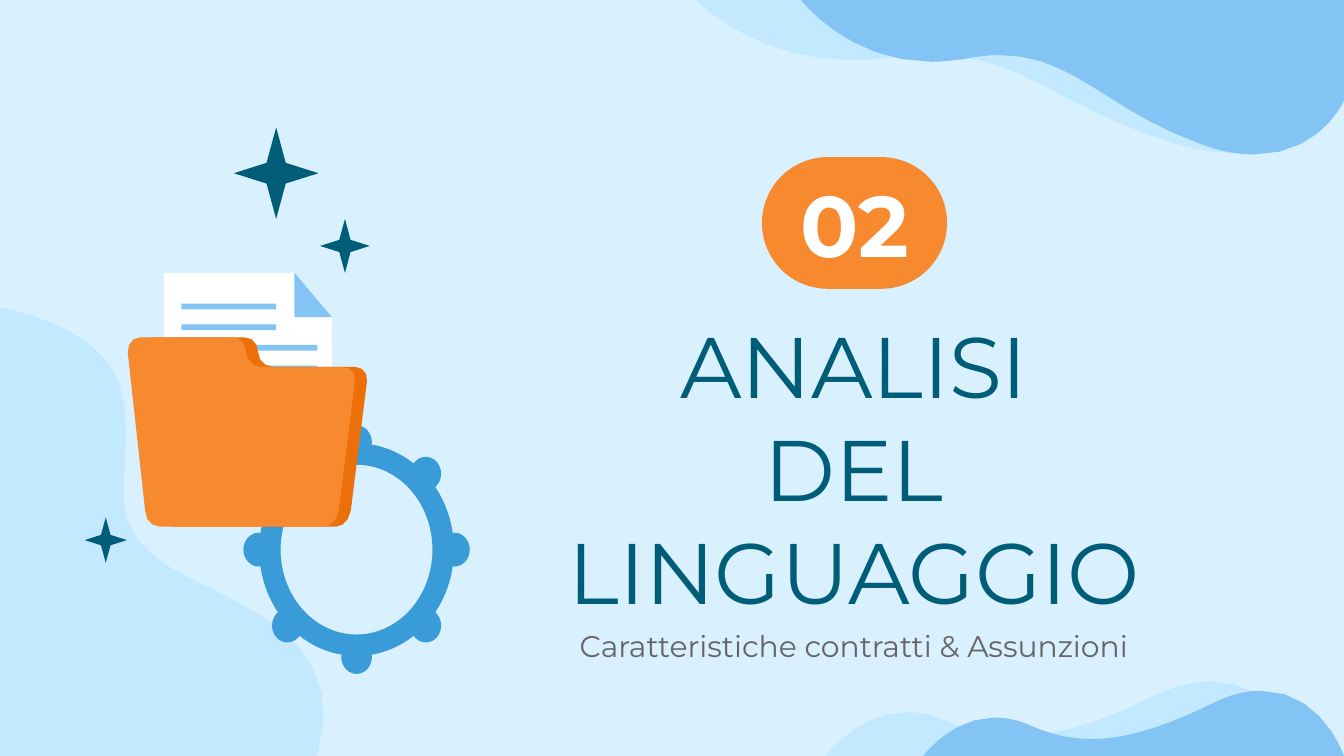
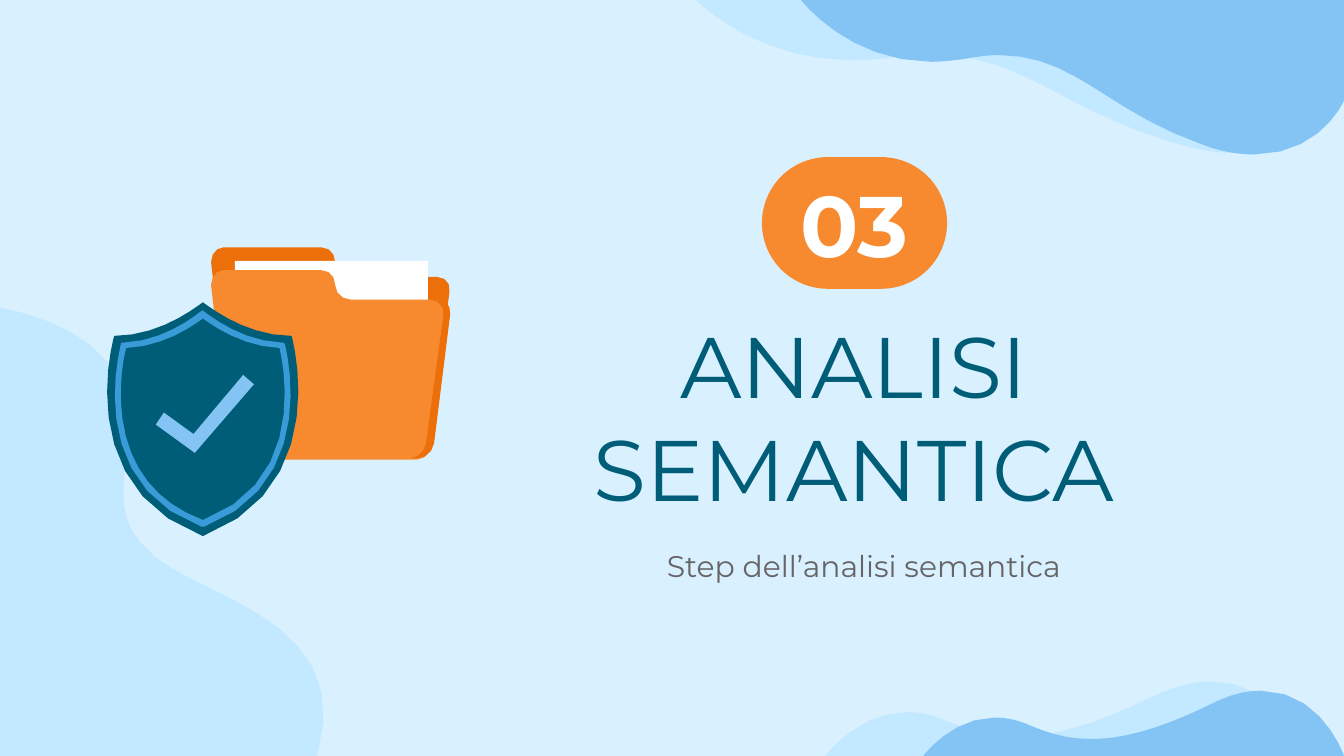
from math import cos, dist, radians, sin, sqrt

from pptx import Presentation
from pptx.dml.color import RGBColor
from pptx.enum.shapes import MSO_SHAPE
from pptx.enum.text import MSO_ANCHOR, PP_ALIGN
from pptx.util import Cm, Pt

# Shared look
FONT = "Montserrat"
SKY, PALE, LIGHT, BLUE = "D9F1FF", "C2E9FF", "84C4F4", "399BD8"
TEAL, ORANGE, RUST = "005D77", "F78A2F", "EC6F09"
WHITE, GREY = "FFFFFF", "666466"

UNIT = Cm(2.54) / 100  # outlines are drawn in hundredths of an inch

# Background waves, from back to front
WAVES = [
    (PALE, "M 0 229 C 0 229 89 242 93 303 C 97 365 79 383 115 414 "
           "C 151 445 266 462 236 562.5 L 0 562.5 Z"),
    (PALE, "M 901 507 C 953 507 972 562.5 972 562.5 L 614 562.5 "
           "C 614 562.5 638 530 675 530 C 682 530 691 531 700 535 "
           "C 716 541 733 548 757 548 C 781 548 812 541 856 519 "
           "C 873 511 888 507 901 507 Z"),
    (LIGHT, "M 938 514 C 984 514 1000 562.5 1000 562.5 L 687 562.5 "
            "C 687 562.5 708 534 740 534 C 747 534 754 535 762 538 "
            "C 776 544 791 550 812 550 C 833 550 860 544 899 525 "
            "C 914 517 927 514 938 514 Z"),
    (PALE, "M 1000 0 L 1000 74 C 1000 74 979 114 921 114 "
           "C 907 114 891 112 872 106 C 787 80 761 41 694 41 "
           "C 685 41 674 41 663 43 C 653 44 644 45 635 45 "
           "C 560 45 518 0 518 0 Z"),
    (LIGHT, "M 1000 0 L 1000 75 C 1000 75 983 115 933 115 "
            "C 922 115 908 113 893 107 C 821 81 800 41 743 41 "
            "C 735 41 727 42 717 44 C 709 45 701 46 693 46 "
            "C 631 46 596 0 596 0 Z"),
]

# Folder, drawn from its own top left corner
FOLDER = ("M 9 0 C 4 0 0 5 0 11 L 13 129 C 13 136 18 141 24 141 L 146 141 "
          "C 151 141 156 136 157 129 L 169 33 C 170 27 166 22 160 22 L 99 22 "
          "C 93 22 88 17 88 11 C 88 5 84 0 78 0 Z")
FOLDER_SIDE = ("M 320 223 C 326 223 331 228 330 234 L 317 330 "
               "C 316 336 311 341 305 341 L 311 341 C 317 341 322 336 323 330 "
               "L 335 234 C 336 228 332 223 326 223 Z")

# Shield with its rim and check mark
SHIELD = ("M 151 225 C 144 230 118 250 85 250 C 85 250 52 362 151 399 "
          "C 249 362 217 250 217 250 C 184 250 158 230 151 225 Z")
SHIELD_RIM = ("M 151 237 C 159 243 181 258 208 259 C 211 272 229 358 151 387 "
              "C 116 374 96 348 91 311 C 88 287 92 265 94 259 "
              "C 121 258 143 243 151 237 Z "
              "M 151 231 L 149 232 C 143 237 120 254 92 255 L 90 255 L 90 256 "
              "C 90 257 61 359 150 392 L 152 392 C 240 359 212 257 212 256 "
              "L 211 255 L 210 255 C 181 254 159 237 152 232 Z")
CHECK = "M 181 279 L 144 323 L 122 307 L 116 316 L 145 337 L 189 286 Z"


def colour(value):
    return RGBColor.from_string(value)


def paint(shape, fill):
    shape.shadow.inherit = False
    shape.fill.solid()
    shape.fill.fore_color.rgb = colour(fill)
    shape.line.fill.background()
    return shape


# Outlines
def curve(start, first, second, end):
    """Points along a cubic curve, without its start; more on long curves."""
    steps = max(2, round(0.8 * sqrt(dist(start, end))))
    points = []
    for step in range(1, steps + 1):
        t = step / steps
        u = 1 - t
        points.append(tuple(
            u ** 3 * a + 3 * u * u * t * b + 3 * u * t * t * c + t ** 3 * d
            for a, b, c, d in zip(start, first, second, end)))
    return points


def contours(outline):
    """Turn M, L, C and Z commands into lists of points."""
    tokens = iter(outline.split())
    result = []

    def point():
        return float(next(tokens)), float(next(tokens))

    for command in tokens:
        if command == "M":
            result.append([point()])
        elif command == "L":
            result[-1].append(point())
        elif command == "C":
            result[-1] += curve(result[-1][-1], point(), point(), point())
    return result


def add_outline(shapes, outline, fill, left=0, top=0, stretch=1):
    builder = None
    for loop in contours(outline):
        points = [((left + x * stretch) * UNIT, (top + y) * UNIT)
                  for x, y in loop]
        if builder is None:
            builder = shapes.build_freeform(*points[0], scale=1.0)
        else:
            builder.move_to(*points[0])
        builder.add_line_segments(points[1:], close=True)
    return paint(builder.convert_to_shape(), fill)


def add_preset(shapes, kind, left, top, width, height, fill, adjust=None):
    shape = shapes.add_shape(kind, Cm(left), Cm(top), Cm(width), Cm(height))
    if adjust is not None:
        shape.adjustments[0] = adjust
    return paint(shape, fill)


# Text
def write(frame, text, size, ink, bold=False, anchor=MSO_ANCHOR.TOP,
          margin=0, indent=0):
    frame.word_wrap = True
    frame.vertical_anchor = anchor
    frame.margin_left = frame.margin_right = Cm(0.25)
    frame.margin_top = frame.margin_bottom = Cm(0.25)
    para = frame.paragraphs[0]
    para.alignment = PP_ALIGN.CENTER
    if margin:
        properties = para._p.get_or_add_pPr()
        properties.set("marL", str(Cm(margin)))
        properties.set("indent", str(Cm(indent)))
    for number, line in enumerate(text.split("\n")):
        if number:
            para.add_line_break()
        span = para.add_run()
        span.text = line
        span.font.name = FONT
        span.font.size = Pt(size)
        span.font.bold = bold
        span.font.color.rgb = colour(ink)


def add_text(page, text, top, height, **style):
    box = page.shapes.add_textbox(Cm(8.89), Cm(top), Cm(14.5), Cm(height))
    write(box.text_frame, text, **style)


# Section page
def add_section(deck, number, title, subtitle, subtitle_top, **indents):
    page = deck.slides.add_slide(deck.slide_layouts[6])
    page.background.fill.solid()
    page.background.fill.fore_color.rgb = colour(SKY)
    for fill, wave in WAVES:
        add_outline(page.shapes, wave, fill)
    pill = add_preset(page.shapes, MSO_SHAPE.ROUNDED_RECTANGLE,
                      14.4, 2.97, 3.5, 2.49, ORANGE, adjust=0.5)
    write(pill.text_frame, number, size=46, ink=WHITE, bold=True,
          anchor=MSO_ANCHOR.MIDDLE)
    add_text(page, title, 5.66, 4.45, size=46, ink=TEAL)
    add_text(page, subtitle, subtitle_top, 1.19, size=16, ink=GREY, **indents)
    return page


# Illustrations
def add_gear(shapes):
    """An oval ring with eight round teeth spaced evenly around it."""
    centre_x, centre_y = 6.74, 10.39
    ring_width, ring_height = 3.68, 4.02
    tooth_width, tooth_height = 0.58, 0.64
    add_preset(shapes, MSO_SHAPE.DONUT, centre_x - ring_width / 2,
               centre_y - ring_height / 2, ring_width, ring_height, BLUE,
               adjust=0.11)
    for angle in range(0, 360, 45):
        x = centre_x + 1.85 * cos(radians(angle))
        y = centre_y + 2.03 * sin(radians(angle))
        add_preset(shapes, MSO_SHAPE.OVAL, x - tooth_width / 2,
                   y - tooth_height / 2, tooth_width, tooth_height, BLUE)


def add_document_art(page):
    shapes = page.shapes.add_group_shape().shapes
    add_gear(shapes)
    # Sheet with a folded corner and lines of writing
    add_outline(shapes, "M 122 203 L 122 358 L 247 358 L 247 236 L 219 203 Z",
                WHITE)
    add_outline(shapes, "M 219 203 L 219 236 L 247 236 Z", LIGHT)
    for row, width in enumerate([1.79, 1.79, 2.57, 2.57]):
        add_preset(shapes, MSO_SHAPE.RECTANGLE, 3.43, 5.74 + row * 0.39,
                   width, 0.11, LIGHT)
    # Folder and its side
    for left, fill in [(104, RUST), (95, ORANGE)]:
        add_outline(shapes, FOLDER, fill, left=left, top=251)
    # Sparkles
    for left, top, width, height in [(4.42, 2.41, 1.6, 1.73),
                                     (6.05, 4.14, 0.94, 1.02),
                                     (1.6, 9.78, 0.8, 0.86)]:
        add_preset(shapes, MSO_SHAPE.STAR_4_POINT, left, top, width, height,
                   TEAL, adjust=0.16)


def add_shield_art(page):
    shapes = page.shapes.add_group_shape().shapes
    # Folder with a sheet inside
    add_outline(shapes, FOLDER, RUST, left=157, top=184, stretch=1.05)
    add_preset(shapes, MSO_SHAPE.RECTANGLE, 4.44, 4.93, 3.65, 3.56, WHITE)
    add_outline(shapes, FOLDER, ORANGE, left=157, top=201, stretch=1.05)
    add_outline(shapes, FOLDER_SIDE, RUST)
    # Shield
    for outline, fill in [(SHIELD, TEAL), (SHIELD_RIM, BLUE), (CHECK, LIGHT)]:
        add_outline(shapes, outline, fill)


def main():
    deck = Presentation()
    deck.slide_width, deck.slide_height = Cm(25.4), Cm(14.29)
    page = add_section(deck, "02", "ANALISI\nDEL LINGUAGGIO",
                       "Caratteristiche contratti & Assunzioni", 11.61)
    add_document_art(page)
    page = add_section(deck, "03", "ANALISI\nSEMANTICA",
                       "Step dell\u2019analisi semantica", 10.11,
                       margin=1.27, indent=-0.89)
    add_shield_art(page)
    deck.save("out.pptx")


main()
